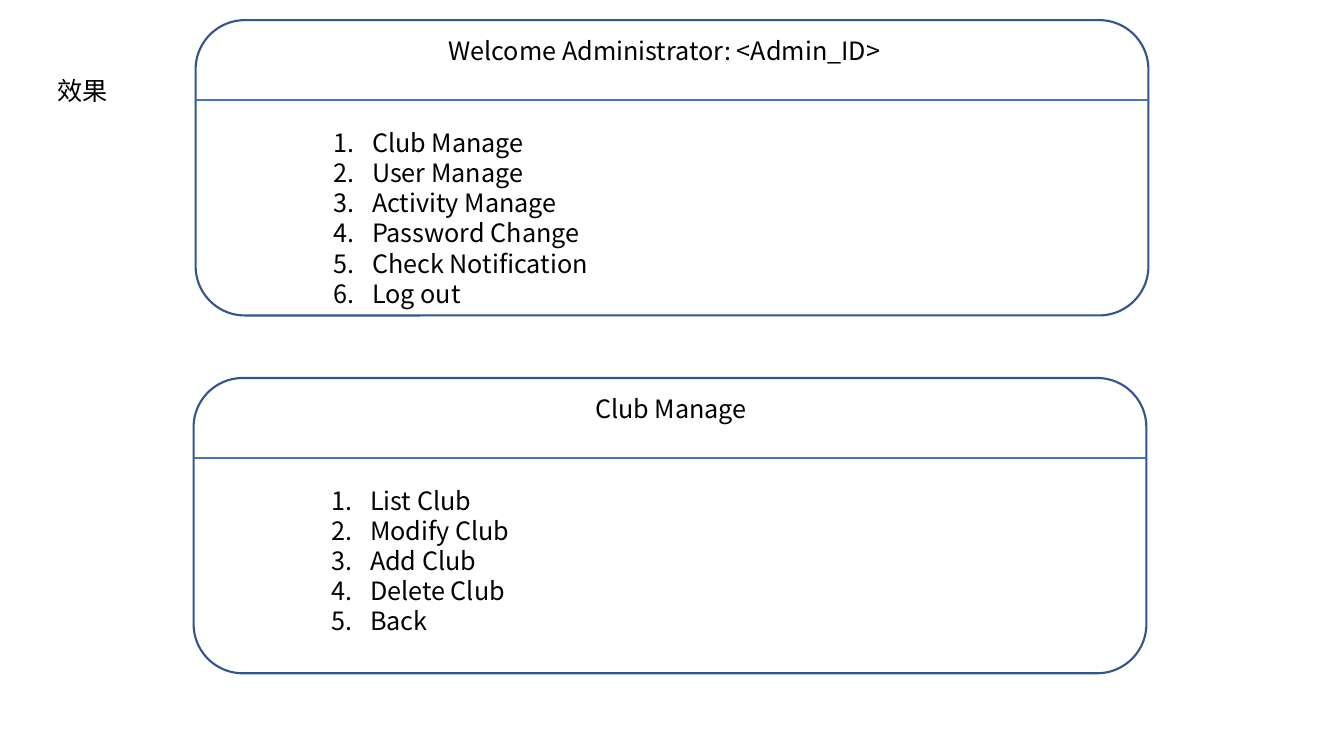
import pptx
import pptx.util
import pptx.dml.color
import pptx.enum.shapes
import pptx.enum.text
import pptx.oxml.ns
import lxml.etree

# Content
LABEL = "效果"
MENUS = [
    ("Welcome Administrator: <Admin_ID>",
     ["Club Manage", "User Manage", "Activity Manage", "Password Change",
      "Check Notification", "Log out"]),
    ("Club Manage",
     ["List Club", "Modify Club", "Add Club", "Delete Club", "Back"]),
]

# Look
FONT = "Noto Sans CJK SC"
BLACK = pptx.dml.color.RGBColor(0x00, 0x00, 0x00)
FRAME_BLUE = pptx.dml.color.RGBColor(0x32, 0x54, 0x91)
RULE_BLUE = pptx.dml.color.RGBColor(0x44, 0x72, 0xC4)
LINE_WIDTH = pptx.util.Pt(1.5)
ALIGN = pptx.enum.text.PP_ALIGN

# Layout in inches: the second panel is the first one moved by a fixed step
SLIDE_SIZE = (13.33, 7.5)
PANEL = (1.94, 0.2, 9.45, 2.93)
PANEL_STEP = (-0.02, 3.55)
HEADING_OFFSET = (2.41, 0.1, 4.65, 0.4)
LIST_OFFSET = (1.27, 1.01, 7.34, 1.92)
RULE_OFFSET = 0.79
LABEL_BOX = (0.47, 0.7, 0.71, 0.4)
NUMBER_INDENT = pptx.util.Inches(0.38)
LINE_PITCH = pptx.util.Pt(21.6)


def inches(values):
    return [pptx.util.Inches(value) for value in values]


def place(shape, box):
    shape.left, shape.top, shape.width, shape.height = inches(box)


def write_text(shape, lines, align=ALIGN.LEFT, numbered=False, wrap=True):
    frame = shape.text_frame
    frame.text = "\n".join(lines)
    frame.word_wrap = wrap
    frame.auto_size = pptx.enum.text.MSO_AUTO_SIZE.NONE
    frame.vertical_anchor = pptx.enum.text.MSO_ANCHOR.TOP
    for paragraph in frame.paragraphs:
        paragraph.alignment = align
        paragraph.space_before = pptx.util.Pt(0)
        paragraph.line_spacing = LINE_PITCH
        font = paragraph.runs[0].font
        font.name, font.size = FONT, pptx.util.Pt(18)
        font.color.rgb = BLACK
        properties = paragraph.runs[0]._r.get_or_add_rPr()
        east_asian = lxml.etree.SubElement(properties, pptx.oxml.ns.qn("a:ea"))
        east_asian.set("typeface", FONT)
        if numbered:
            properties = paragraph._p.get_or_add_pPr()
            properties.set("marL", str(NUMBER_INDENT))
            properties.set("indent", str(-NUMBER_INDENT))
            bullet_font = lxml.etree.SubElement(properties, pptx.oxml.ns.qn("a:buFont"))
            bullet_font.set("typeface", FONT)
            number = lxml.etree.SubElement(properties, pptx.oxml.ns.qn("a:buAutoNum"))
            number.set("type", "arabicPeriod")


def add_panel(slide, left, top, heading, items, list_placeholder, align):
    width, height = PANEL[2:]

    # Rounded frame
    frame = slide.shapes.add_shape(
        pptx.enum.shapes.MSO_SHAPE.ROUNDED_RECTANGLE,
        *inches((left, top, width, height)))
    frame.shadow.inherit = False
    frame.fill.background()
    frame.line.color.rgb = FRAME_BLUE
    frame.line.width = LINE_WIDTH

    # Rule under the heading
    rule_top = top + RULE_OFFSET
    rule = slide.shapes.add_connector(
        pptx.enum.shapes.MSO_CONNECTOR.STRAIGHT,
        *inches((left, rule_top, left + width, rule_top)))
    rule.line.color.rgb = RULE_BLUE
    rule.line.width = LINE_WIDTH
    lxml.etree.SubElement(rule._element.spPr, pptx.oxml.ns.qn("a:effectLst"))

    # Heading and numbered menu
    across, down, *size = HEADING_OFFSET
    title = slide.shapes.add_textbox(*inches((left + across, top + down, *size)))
    write_text(title, [heading], align=align)
    across, down, *size = LIST_OFFSET
    place(list_placeholder, (left + across, top + down, *size))
    write_text(list_placeholder, items, numbered=True)


def main():
    presentation = pptx.Presentation()
    presentation.slide_width, presentation.slide_height = inches(SLIDE_SIZE)
    two_content = presentation.slide_layouts.get_by_name("Two Content")
    slide = presentation.slides.add_slide(two_content)

    # Side label
    place(slide.shapes.title, LABEL_BOX)
    write_text(slide.shapes.title, [LABEL], wrap=False)

    # Menu panels
    for index, (heading, items) in enumerate(MENUS):
        add_panel(slide,
                  PANEL[0] + index * PANEL_STEP[0],
                  PANEL[1] + index * PANEL_STEP[1],
                  heading, items, slide.placeholders[index + 1],
                  ALIGN.CENTER if index else ALIGN.LEFT)

    presentation.save("out.pptx")


if __name__ == "__main__":
    main()
